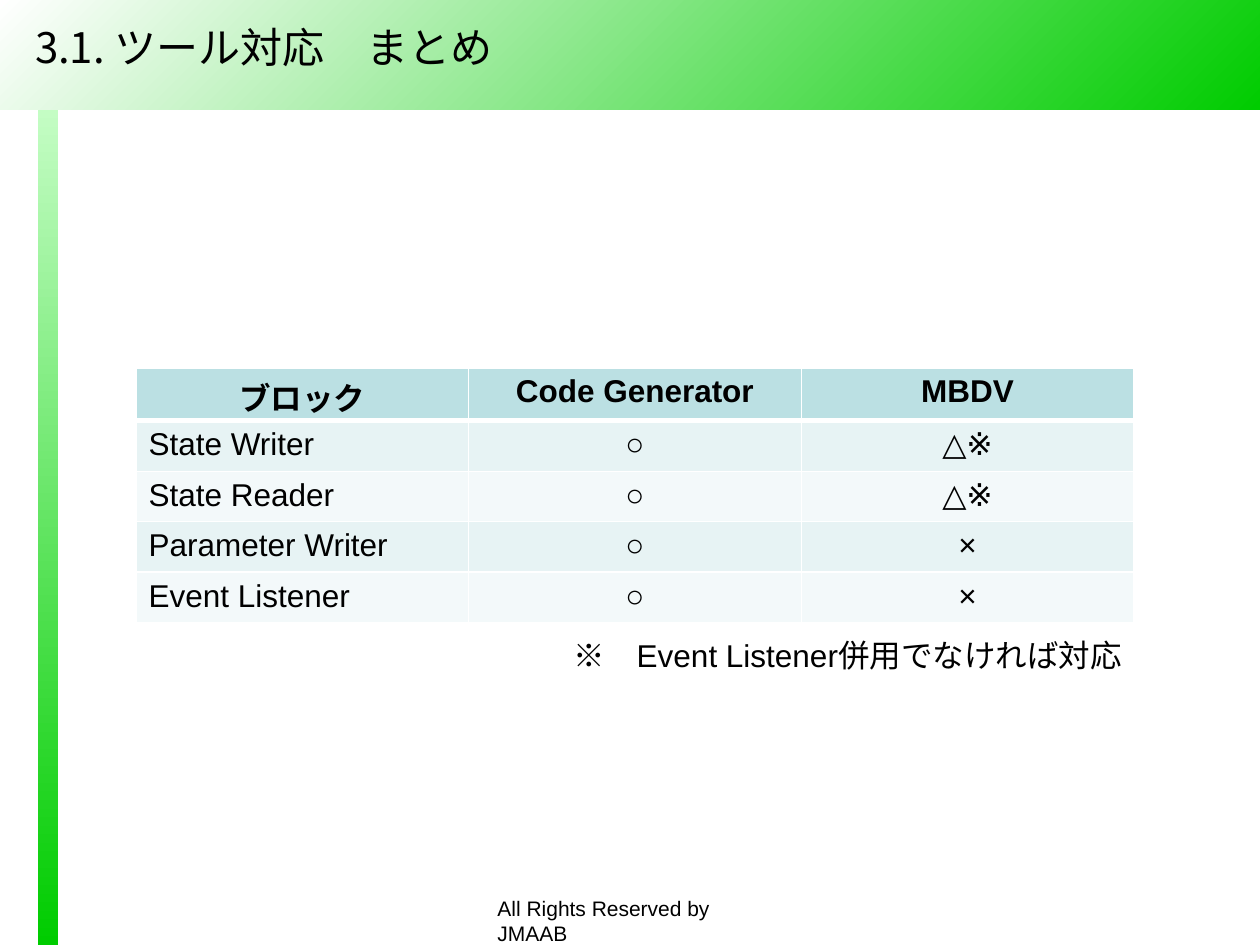
"""Build the tool support summary slide with its block table."""
from lxml.etree import SubElement
from pptx import Presentation
from pptx.dml.color import RGBColor
from pptx.enum.shapes import MSO_SHAPE as Shape
from pptx.enum.text import MSO_ANCHOR as Anchor, PP_ALIGN as Align
from pptx.oxml.ns import qn
from pptx.util import Inches, Pt


def color(hex_code):
    return RGBColor.from_string(hex_code)


def write(frame, text, size, align=Align.LEFT, bold=False, latin="Arial", asian=None):
    paragraph = frame.paragraphs[0]
    paragraph.alignment = align
    run = paragraph.add_run()
    run.text = text
    for name, value in {"size": Pt(size), "bold": bold, "name": latin}.items():
        setattr(run.font, name, value)
    run.font.color.rgb = color("000000")
    if asian:
        SubElement(run.font._element, qn("a:ea"), typeface=asian)


CJK = "Noto Sans CJK JP"
presentation = Presentation()
presentation.slide_width, presentation.slide_height = Inches(10), Inches(7.5)
slide = presentation.slides.add_slide(presentation.slide_layouts[6])

bands = [
    ((0.3, 0.6, 0.16, 6.9), "CCFFCC", 270),
    ((0, 0, 10, 0.87), "FFFFFF", 315),
]
for box, start, angle in bands:
    band = slide.shapes.add_shape(Shape.RECTANGLE, *map(Inches, box))
    band.shadow.inherit = False
    band.line.fill.background()
    band.fill.gradient()
    band.fill.gradient_angle = angle
    for stop, shade in zip(band.fill.gradient_stops, (start, "00CC00")):
        stop.color.rgb = color(shade)

texts = [
    ((3.85, 7.06, 2.4, 0.3), "All Rights Reserved by JMAAB", Anchor.TOP,
     {"size": 12}),
    ((0.18, 0.14, 6.86, 0.46), "3.1. ツール対応　まとめ", Anchor.MIDDLE,
     {"size": 24, "latin": CJK, "asian": CJK}),
    ((2.67, 5, 6.33, 0.5), "※　Event Listener併用でなければ対応", Anchor.TOP,
     {"size": 18, "align": Align.RIGHT, "asian": CJK}),
]
for box, text, anchor, style in texts:
    frame = slide.shapes.add_textbox(*map(Inches, box)).text_frame
    frame.word_wrap = True
    frame.vertical_anchor = anchor
    write(frame, text, **style)

support = [
    ("ブロック", "Code Generator", "MBDV"),
    ("State Writer", "○", "△※"),
    ("State Reader", "○", "△※"),
    ("Parameter Writer", "○", "×"),
    ("Event Listener", "○", "×"),
]
row_fills = ["BBE0E3", "E7F3F4", "F3F9FA", "E7F3F4", "F3F9FA"]
table = slide.shapes.add_table(
    len(support), 3, Inches(1.08), Inches(2.92), Inches(7.92), Inches(1.98)
).table
for r, (labels, row_fill) in enumerate(zip(support, row_fills)):
    header = r == 0
    table.rows[r].height = Inches(0.42 if header else 0.39)
    for c, label in enumerate(labels):
        cell = table.cell(r, c)
        align = Align.CENTER if header or c else Align.LEFT
        write(cell.text_frame, label, 18, align, header, asian=CJK if header else None)
        properties = cell._tc.get_or_add_tcPr()
        widths = {"L": 1, "R": 1, "T": 3 if r == 1 else 1, "B": 3 if header else 1}
        for side, width in widths.items():
            border = SubElement(properties, qn(f"a:ln{side}"), w=str(Pt(width)))
            SubElement(SubElement(border, qn("a:solidFill")), qn("a:srgbClr"), val="FFFFFF")
        cell.fill.solid()
        cell.fill.fore_color.rgb = color(row_fill)

presentation.save("out.pptx")
